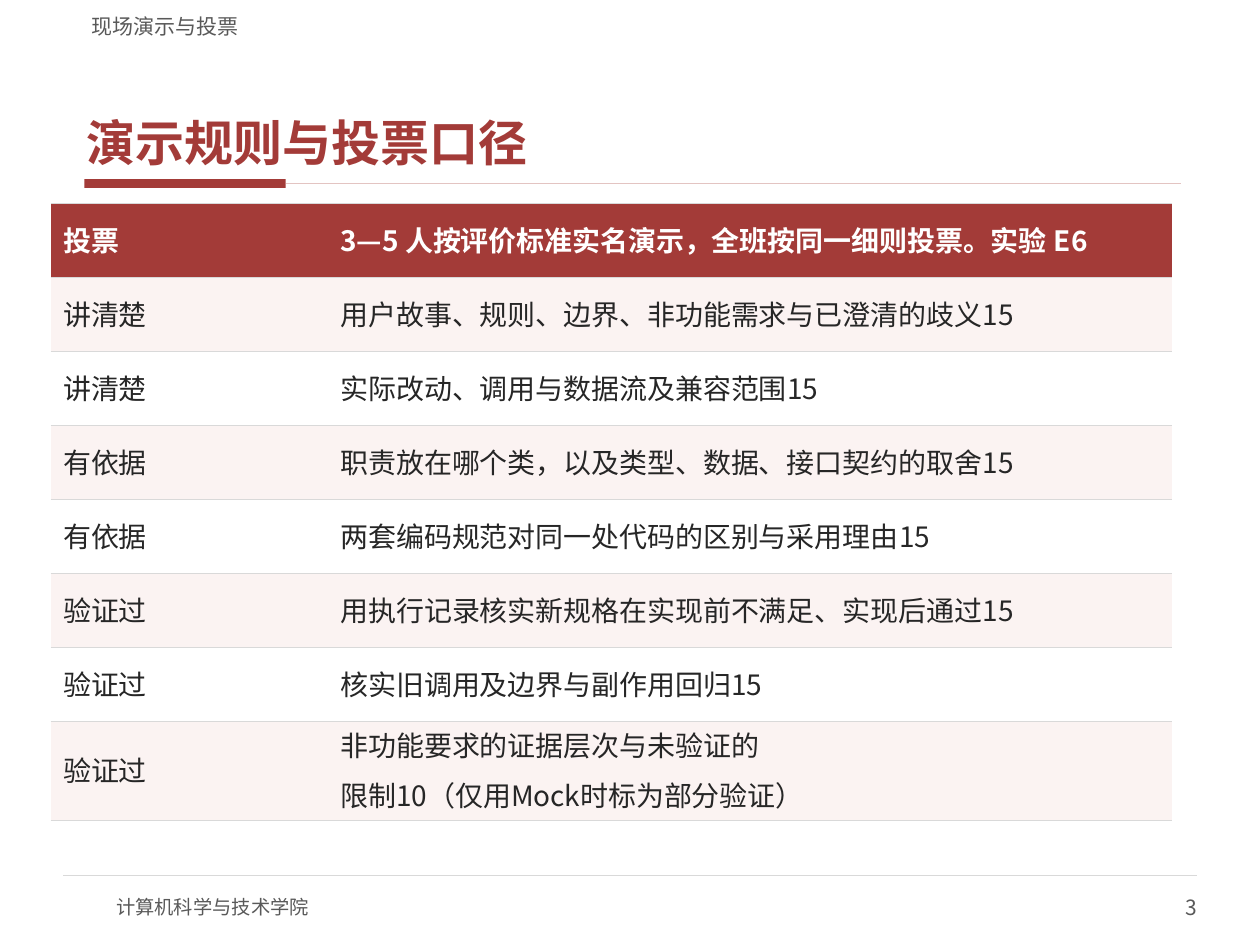
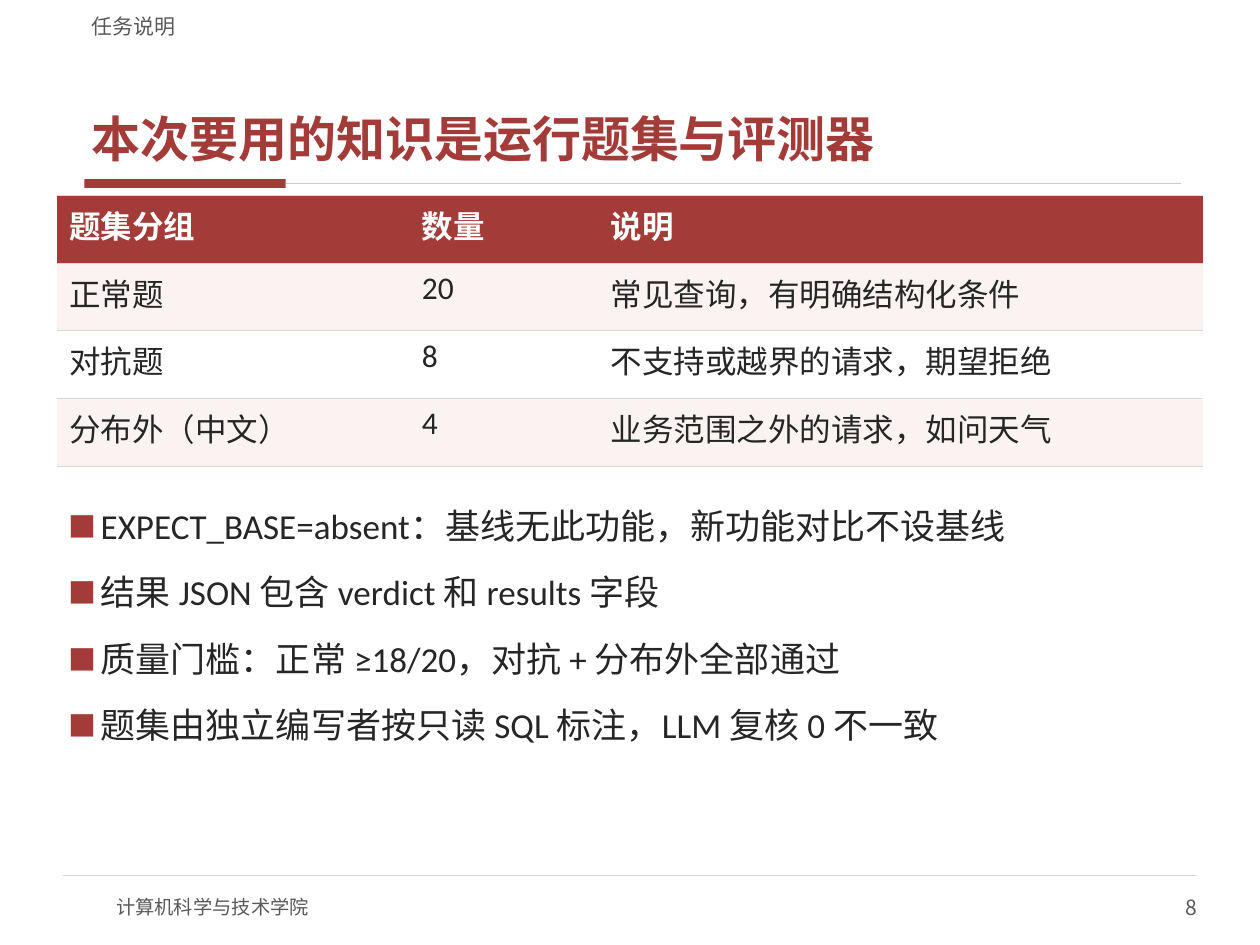
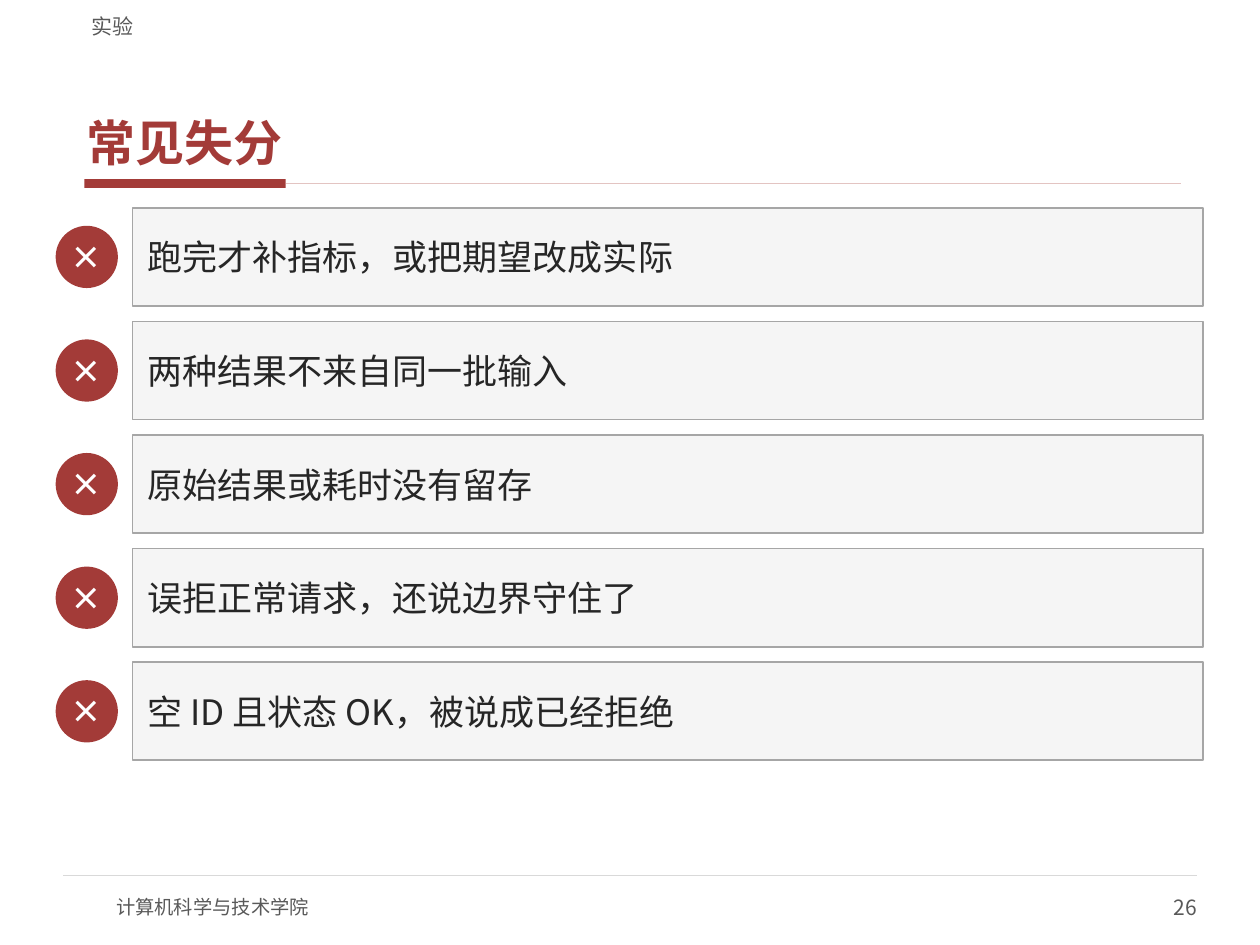
from dataclasses import dataclass

from lxml import etree
from pptx import Presentation
from pptx import util as u
from pptx.dml.color import RGBColor
from pptx.enum import shapes, text
from pptx.oxml import ns

RED = RGBColor(0xA3, 0x3B, 0x38)
ROSE = RGBColor(0xE3, 0xC4, 0xC2)
BLUSH = RGBColor(0xFB, 0xF3, 0xF2)
WHITE = RGBColor(0xFF, 0xFF, 0xFF)
PALE = RGBColor(0xF5, 0xF5, 0xF5)
RULE = RGBColor(0xD9, 0xD9, 0xD9)
EDGE = RGBColor(0xA6, 0xA6, 0xA6)
MUTED = RGBColor(0x59, 0x59, 0x59)
INK = RGBColor(0x26, 0x26, 0x26)

NOTO = "Noto Sans CJK SC"
CALIBRI = "Calibri"
MIDDLE = text.MSO_ANCHOR.MIDDLE
BOTTOM = text.MSO_ANCHOR.BOTTOM
LEFT, CENTER, RIGHT = text.PP_ALIGN.LEFT, text.PP_ALIGN.CENTER, text.PP_ALIGN.RIGHT
NO_INSETS = (0, 0, 0, 0)


@dataclass
class Box:
    """A region measured in centimetres."""
    left: float
    top: float
    width: float
    height: float

    def lengths(self):
        """Return left, top, width and height as slide lengths."""
        return [u.Cm(value) for value in (self.left, self.top, self.width, self.height)]

    def inner(self, left, top, width, height):
        """Return a box placed relative to this one."""
        return Box(self.left + left, self.top + top, width, height)


HEADER = Box(1.6, 0.1, 22.23, 0.69)
TITLE = Box(1.6, 0.84, 22.23, 2.67)
TITLE_RULE = Box(1.7, 3.61, 22.1, 0.18)
FOOTER = Box(1.27, 17.65, 22.86, 1.14)
RULES_TABLE = Box(1.02, 4.11, 22.6, 11.92)
SETS_TABLE = Box(1.14, 3.94, 23.11, 5.46)
BULLETS = Box(1.14, 10.03, 22.86, 5.84)
MISTAKES = Box(1.14, 4.19, 23.12, 11.13)


def add_child(parent, tag, **attributes):
    """Append a drawing element with the given attributes."""
    return etree.SubElement(parent, ns.qn(tag), attributes)


def write(frame, lines, color, font, far_east=NOTO, layout=None):
    """Fill a text frame, one paragraph for each line."""
    frame.text = "\n".join(lines)
    for index, para in enumerate(frame.paragraphs):
        for name, value in (layout or {}).items():
            setattr(para, name, value)
        if index == 0:
            para.space_before = u.Pt(0)
        for span in para.runs:
            for name, value in font.items():
                setattr(span.font, name, value)
            span.font.color.rgb = color
            add_child(span.font._element, "a:ea", typeface=far_east)


def set_frame(frame, anchor, insets):
    """Set wrapping, anchor and insets (left, top, right, bottom)."""
    values = dict(zip(("margin_left", "margin_top", "margin_right", "margin_bottom"),
                      map(u.Cm, insets)))
    values.update(word_wrap=True, auto_size=text.MSO_AUTO_SIZE.NONE, vertical_anchor=anchor)
    for name, value in values.items():
        setattr(frame, name, value)


def add_label(page, box, words, size, anchor, insets=NO_INSETS, align=LEFT):
    """Add one muted line of text."""
    frame = page.shapes.add_textbox(*box.lengths()).text_frame
    set_frame(frame, anchor, insets)
    write(frame, [words], MUTED, {"name": NOTO, "size": u.Pt(size)},
          layout={"alignment": align})


def add_block(page, kind, box, fill, line=None):
    """Add a flat filled shape, outlined when a line colour is given."""
    block = page.shapes.add_shape(kind, *box.lengths())
    block.shadow.inherit = False
    block.fill.solid()
    block.fill.fore_color.rgb = fill
    if line is None:
        block.line.fill.background()
    else:
        block.line.color.rgb = line
        block.line.width = u.Pt(1)
    return block


def add_rule(page, left, top, right, color, width):
    """Add a horizontal line."""
    rule = page.shapes.add_connector(shapes.MSO_CONNECTOR.STRAIGHT, left, top, right, top)
    rule.line.color.rgb = color
    rule.line.width = u.Pt(width)
    add_child(rule._element.spPr, "a:effectLst")
    return rule


def add_title_rule(page, box):
    """Draw the thick bar and thin line under the title."""
    bar = add_block(page, shapes.MSO_SHAPE.RECTANGLE, box.inner(0, 0, 4.06, box.height), RED)
    rule = add_rule(page, bar.left + bar.width, bar.top + bar.height // 2,
                    u.Cm(box.left + box.width), ROSE, 1)
    rule.begin_connect(bar, 3)


def add_footer(page, box, number):
    """Draw the footer line, the school name and the page number."""
    left, top, width, _ = box.lengths()
    add_rule(page, left, top, left + width, RULE, 0.75)
    add_label(page, box.inner(1.07, 0.13, 10.16, 1.02), "计算机科学与技术学院", 11, MIDDLE)
    add_label(page, box.inner(box.width - 5.08, 0.13, 5.08, 1.02), str(number), 12, MIDDLE,
              align=RIGHT)


def move(holder, box):
    """Move a placeholder to a box."""
    for name, value in zip(("left", "top", "width", "height"), box.lengths()):
        setattr(holder, name, value)


def add_page(deck, layout, section, title, number, face=NOTO, insets=(0.15, 0.05, 0.15, 0.05),
             spacing=1.0):
    """Add a slide with its header, title and footer."""
    page = deck.slides.add_slide(deck.slide_layouts.get_by_name(layout))
    add_title_rule(page, TITLE_RULE)
    add_footer(page, FOOTER, number)
    holder = page.shapes.title
    move(holder, TITLE)
    set_frame(holder.text_frame, BOTTOM, insets)
    write(holder.text_frame, [title], RED, {"name": face, "size": u.Pt(28), "bold": True},
          layout={"alignment": LEFT, "line_spacing": spacing})
    add_label(page, HEADER, section, 12, BOTTOM, insets=(0.25, 0, 0.25, 0))
    return page


def set_borders(cell):
    """Give a cell thin top and bottom borders only."""
    properties = cell._tc.get_or_add_tcPr()
    for side in ("a:lnL", "a:lnR"):
        add_child(add_child(properties, side, w="0"), "a:noFill")
    for side in ("a:lnT", "a:lnB"):
        line = add_child(properties, side, w=str(u.Pt(0.75)))
        add_child(add_child(line, "a:solidFill"), "a:srgbClr", val=str(RULE))


def add_table(page, box, widths, rows, font, anchor, layout=None):
    """Add a table with a red header and striped rows."""
    table = page.shapes.add_table(len(rows), len(widths), *box.lengths()).table
    for column, width in zip(table.columns, widths):
        column.width = u.Cm(width)
    for index, words in enumerate(rows):
        table.rows[index].height = u.Cm(box.height / len(rows))
        header = index == 0
        fill = RED if header else (BLUSH if index % 2 else WHITE)
        for cell, value in zip(table.rows[index].cells, words):
            set_borders(cell)
            cell.fill.solid()
            cell.fill.fore_color.rgb = fill
            cell.vertical_anchor = anchor
            write(cell.text_frame, value.split("\n"), WHITE if header else INK,
                  {**font, "bold": header}, layout=layout)


def add_bullets(page, box, lines):
    """Fill the body placeholder with a square-bulleted list."""
    holder = page.placeholders[1]
    move(holder, box)
    frame = holder.text_frame
    set_frame(frame, text.MSO_ANCHOR.TOP, (0.25, 0.13, 0.25, 0.13))
    write(frame, lines, INK, {"name": CALIBRI, "size": u.Pt(20)}, far_east=CALIBRI,
          layout={"space_before": u.Pt(14)})
    indent = u.Cm(0.64)
    for para in frame.paragraphs:
        properties = para._p.get_or_add_pPr()
        properties.set("marL", str(indent))
        properties.set("indent", str(-indent))
        add_child(add_child(properties, "a:buClr"), "a:srgbClr", val=str(RED))
        add_child(properties, "a:buSzPct", val="80000")
        add_child(properties, "a:buFont", typeface=NOTO)
        add_child(properties, "a:buChar", char="■")


def add_mistakes(page, box, lines):
    """Stack cards, each with a cross badge on its left."""
    pitch, card_height, badge_size, card_left = 2.29, 1.98, 1.22, 1.53
    for index, words in enumerate(lines):
        top = index * pitch
        badge = add_block(page, shapes.MSO_SHAPE.OVAL,
                          box.inner(0, top + (card_height - badge_size) / 2,
                                    badge_size, badge_size), RED, RED)
        set_frame(badge.text_frame, MIDDLE, NO_INSETS)
        write(badge.text_frame, ["×"], WHITE, {"name": NOTO, "size": u.Pt(18), "bold": True},
              layout={"alignment": CENTER})
        card = add_block(page, shapes.MSO_SHAPE.RECTANGLE,
                         box.inner(card_left, top, box.width - card_left, card_height),
                         PALE, EDGE)
        set_frame(card.text_frame, MIDDLE, (0.3, 0.15, 0.3, 0.15))
        write(card.text_frame, [words], INK, {"name": NOTO, "size": u.Pt(20)},
              layout={"alignment": LEFT})


def build_rules(deck):
    """Build the slide with the voting rules."""
    page = add_page(deck, "Title Only", "现场演示与投票", "演示规则与投票口径", 3)
    rows = [
        ("投票", "3—5 人按评价标准实名演示，全班按同一细则投票。实验 E6"),
        ("讲清楚", "用户故事、规则、边界、非功能需求与已澄清的歧义15"),
        ("讲清楚", "实际改动、调用与数据流及兼容范围15"),
        ("有依据", "职责放在哪个类，以及类型、数据、接口契约的取舍15"),
        ("有依据", "两套编码规范对同一处代码的区别与采用理由15"),
        ("验证过", "用执行记录核实新规格在实现前不满足、实现后通过15"),
        ("验证过", "核实旧调用及边界与副作用回归15"),
        ("验证过", "非功能要求的证据层次与未验证的\n限制10（仅用Mock时标为部分验证）"),
    ]
    add_table(page, RULES_TABLE, (5.59, 17.02), rows, {"name": NOTO, "size": u.Pt(16)}, MIDDLE,
              {"line_spacing": 0.9, "space_before": u.Pt(6), "space_after": u.Pt(2)})


def build_sets(deck):
    """Build the slide on the question sets and the evaluator."""
    page = add_page(deck, "Title and Content", "任务说明", "本次要用的知识是运行题集与评测器", 8,
                    CALIBRI, (0.25, 0.13, 0.25, 0.13), 0.9)
    rows = [
        ("题集分组", "数量", "说明"),
        ("正常题", "20", "常见查询，有明确结构化条件"),
        ("对抗题", "8", "不支持或越界的请求，期望拒绝"),
        ("分布外（中文）", "4", "业务范围之外的请求，如问天气"),
    ]
    add_table(page, SETS_TABLE, (7.11, 3.81, 12.19), rows,
              {"name": CALIBRI, "size": u.Pt(18)}, text.MSO_ANCHOR.TOP)
    add_bullets(page, BULLETS, [
        "EXPECT_BASE=absent：基线无此功能，新功能对比不设基线",
        "结果 JSON 包含 verdict 和 results 字段",
        "质量门槛：正常 ≥18/20，对抗 + 分布外全部通过",
        "题集由独立编写者按只读 SQL 标注，LLM 复核 0 不一致",
    ])


def build_mistakes(deck):
    """Build the slide with the common mistakes."""
    page = add_page(deck, "Title Only", "实验", "常见失分", 26)
    add_mistakes(page, MISTAKES, [
        "跑完才补指标，或把期望改成实际",
        "两种结果不来自同一批输入",
        "原始结果或耗时没有留存",
        "误拒正常请求，还说边界守住了",
        "空 ID 且状态 OK，被说成已经拒绝",
    ])


def main():
    """Build and save the deck."""
    deck = Presentation()
    deck.slide_width, deck.slide_height = u.Cm(25.4), u.Cm(19.05)
    for build in (build_rules, build_sets, build_mistakes):
        build(deck)
    deck.save("out.pptx")


if __name__ == "__main__":
    main()
